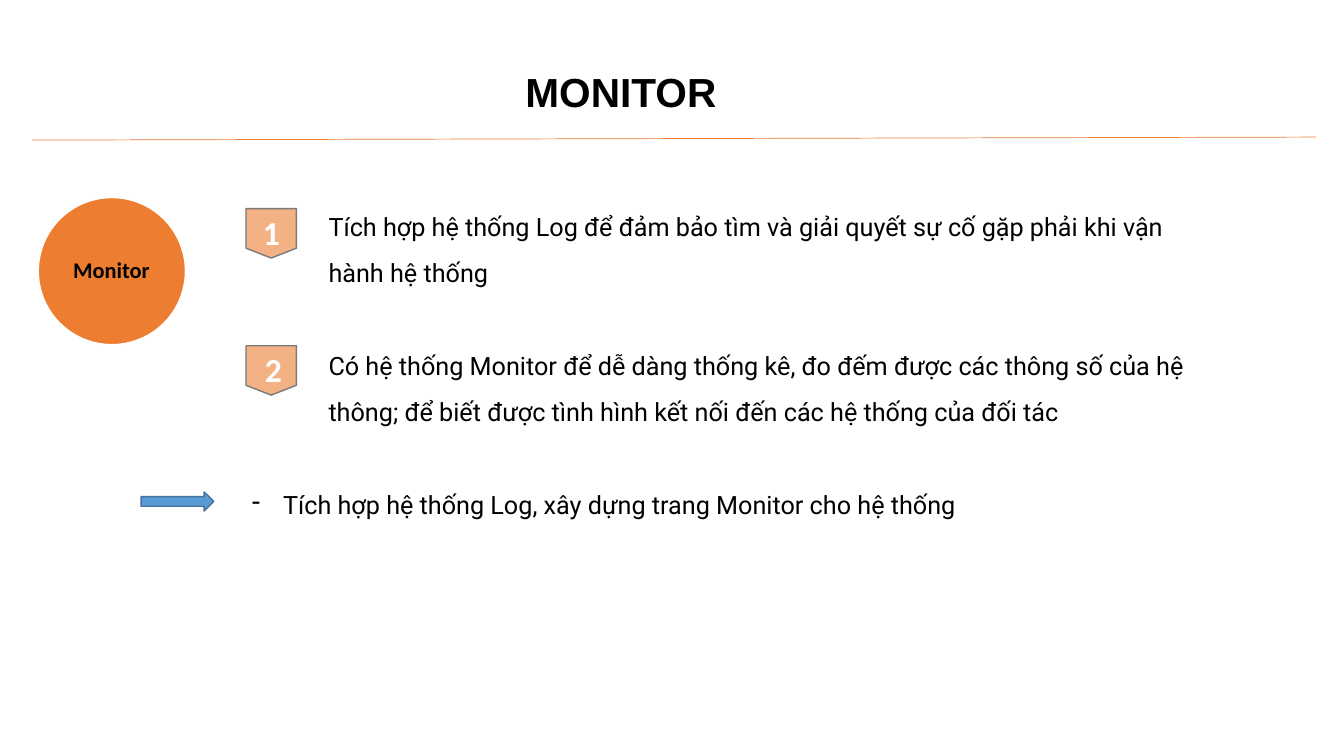
"""Build the Monitor slide with its two numbered points and conclusion."""
import pptx
import pptx.dml.color
import pptx.enum.shapes
import pptx.enum.text
import pptx.oxml.ns
import pptx.util
from lxml import etree

PX = 9144
SHAPE = pptx.enum.shapes.MSO_SHAPE
ALIGN = pptx.enum.text.PP_ALIGN
ANCHOR = pptx.enum.text.MSO_ANCHOR
color = pptx.dml.color.RGBColor.from_string
qn = pptx.oxml.ns.qn

deck = pptx.Presentation()
deck.slide_width = 1333 * PX
deck.slide_height = 750 * PX
page = deck.slides.add_slide(deck.slide_layouts[6])


def add_text(text, bounds, size, font, hue="000000", bold=False, spacing=1.0, centered=False, inset=None):
    box = page.shapes.add_textbox(*[n * PX for n in bounds])
    frame = box.text_frame
    frame.word_wrap = True
    if inset is not None:
        frame.margin_left = frame.margin_right = inset * PX
        frame.margin_top = frame.margin_bottom = inset * PX
    para = frame.paragraphs[0]
    para.text = text
    para.line_spacing = spacing
    para.font.size = pptx.util.Pt(size)
    para.font.name = font
    para.font.bold = bold
    para.font.color.rgb = color(hue)
    if centered:
        para.alignment = ALIGN.CENTER
        frame.vertical_anchor = ANCHOR.MIDDLE
    return para


def add_shape(kind, bounds, fill, line):
    shape = page.shapes.add_shape(kind, *[n * PX for n in bounds])
    shape.shadow.inherit = False
    shape.fill.solid()
    shape.fill.fore_color.rgb = color(fill)
    shape.line.color.rgb = color(line)
    shape.line.width = pptx.util.Pt(1)


add_text("MONITOR", (91, 34, 1050, 113), 29, "Arial", bold=True, centered=True, inset=0)

rule = page.shapes.add_connector(
    pptx.enum.shapes.MSO_CONNECTOR.STRAIGHT, 32 * PX, 139 * PX, 1305 * PX, 136 * PX
)
rule.line.color.rgb = color("ED7D31")
rule.line.width = pptx.util.Pt(0.5)
etree.SubElement(rule.element.spPr, qn("a:effectLst"))

points = [
    ("1", 251, 207, "Tích hợp hệ thống Log để đảm bảo tìm và giải quyết sự cố gặp phải khi vận hành hệ thống", 190),
    ("2", 253, 343, "Có hệ thống Monitor để dễ dàng thống kê, đo đếm được các thông số của hệ thông; "
     "để biết được tình hình kết nối đến các hệ thống của đối tác", 328),
]
for number, number_left, badge_top, point, point_top in points:
    add_shape(SHAPE.FLOWCHART_OFFPAGE_CONNECTOR, (244, badge_top, 50, 49), "F4B183", "7A7A7A")
    add_text(number, (number_left, badge_top - 2, 33, 50), 24, "Calibri", hue="FFFFFF", bold=True)
    add_text(point, (316, point_top, 881, 101), 18, "Roboto", spacing=1.5)

add_shape(SHAPE.OVAL, (38, 196, 146, 146), "ED7D31", "FFFFFF")
add_text("Monitor", (59, 218, 103, 103), 16, "Calibri", bold=True, spacing=0.9, centered=True, inset=2)

add_shape(SHAPE.RIGHT_ARROW, (140, 488, 72, 19), "5B9BD5", "43739E")
conclusion = add_text(
    "Tích hợp hệ thống Log, xây dựng trang Monitor cho hệ thống", (240, 466, 957, 56), 18, "Roboto", spacing=1.5
)
properties = conclusion._p.get_or_add_pPr()
properties.set("marL", str(31 * PX))
properties.set("indent", str(-31 * PX))
bullet = etree.Element(qn("a:buChar"), char="-")
properties.find(qn("a:lnSpc")).addnext(bullet)

deck.save("out.pptx")
